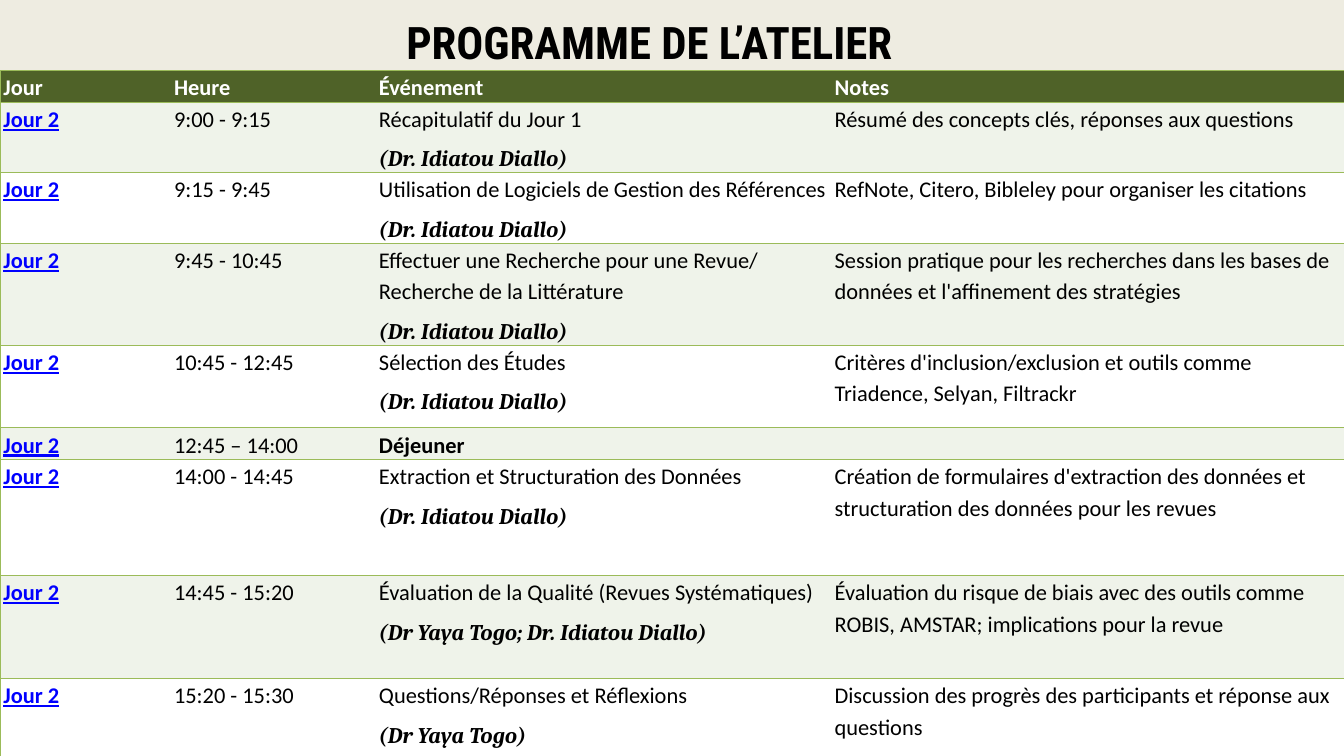
from lxml.etree import SubElement
from pptx import Presentation
from pptx.dml.color import RGBColor
from pptx.enum.text import MSO_ANCHOR, PP_ALIGN
from pptx.oxml.ns import qn
from pptx.util import Pt

PX = 9144
COLORS = {
    "background": "EEECE1",
    "header": "4F6228",
    "band": "EFF3EA",
    "white": "FFFFFF",
    "black": "000000",
    "day": "0000FF",
    "border": "9BBB59",
}
NO_STYLE = "{2D5ABB26-0587-4C30-8999-92F81FD0307C}"
COLUMN_WIDTHS = [254, 305, 678, 763]
ROW_HEIGHTS = [44, 105, 105, 152, 123, 44, 173, 153, 123]
HEADINGS = ["Jour", "Heure", "Événement", "Notes"]
DAY = "Jour 2"
DIALLO = "(Dr. Idiatou Diallo)"
SESSIONS = [
    ("9:00 - 9:15", "Récapitulatif du Jour 1", DIALLO,
     "Résumé des concepts clés, réponses aux questions"),
    ("9:15 - 9:45", "Utilisation de Logiciels de Gestion des Références", DIALLO,
     "RefNote, Citero, Bibleley pour organiser les citations"),
    ("9:45 - 10:45", "Effectuer une Recherche pour une Revue/ Recherche de la Littérature", DIALLO,
     "Session pratique pour les recherches dans les bases de données et l'affinement des stratégies"),
    ("10:45 - 12:45", "Sélection des Études", DIALLO,
     "Critères d'inclusion/exclusion et outils comme Triadence, Selyan, Filtrackr"),
    ("12:45 – 14:00", "Déjeuner", "", ""),
    ("14:00 - 14:45", "Extraction et Structuration des Données", DIALLO,
     "Création de formulaires d'extraction des données et structuration des données pour les revues"),
    ("14:45 - 15:20", "Évaluation de la Qualité (Revues Systématiques)",
     "(Dr Yaya Togo; Dr. Idiatou Diallo)",
     "Évaluation du risque de biais avec des outils comme ROBIS, AMSTAR; implications pour la revue"),
    ("15:20 - 15:30", "Questions/Réponses et Réflexions", "(Dr Yaya Togo)",
     "Discussion des progrès des participants et réponse aux questions"),
]


def px(length):
    return length * PX


def rgb(name):
    return RGBColor.from_string(COLORS[name])


def format_font(paragraph, size, color="black", name="Calibri", bold=False, italic=False, underline=False):
    for run in paragraph.runs:
        font = run.font
        font.size, font.name = Pt(size), name
        font.bold, font.italic, font.underline = bold, italic, underline
        font.color.rgb = rgb(color)


def add_title(slide, text):
    title = slide.shapes.title
    title.left, title.top, title.width, title.height = px(83), 0, px(1767), px(125)
    title.fill.solid()
    title.fill.fore_color.rgb = rgb("background")
    text_frame = title.text_frame
    text_frame.text = text
    text_frame.vertical_anchor = MSO_ANCHOR.MIDDLE
    paragraph = text_frame.paragraphs[0]
    paragraph.alignment = PP_ALIGN.CENTER
    format_font(paragraph, 48, name="Roboto Condensed", bold=True)


def set_borders(cell, sides):
    properties = cell._tc.get_or_add_tcPr()
    for side in sides:
        line = SubElement(properties, qn(f"a:ln{side}"), w=str(Pt(1)))
        fill = SubElement(line, qn("a:solidFill"))
        SubElement(fill, qn("a:srgbClr"), val=COLORS["border"])


def fill_cell(cell, fill, sides, lines):
    set_borders(cell, sides)
    cell.fill.solid()
    cell.fill.fore_color.rgb = rgb(fill)
    cell.margin_left = cell.margin_right = px(5)
    cell.margin_top = cell.margin_bottom = 0
    cell.text_frame.text = "\n".join(text for text, style in lines)
    for paragraph, (text, style) in zip(cell.text_frame.paragraphs, lines):
        paragraph.line_spacing = 1.15
        paragraph.space_after = Pt(10)
        format_font(paragraph, 24, **style)


def session_cells(time, event, speaker, notes):
    event_lines = [(event, {"bold": not speaker})]
    if speaker:
        event_lines.append((speaker, {"name": "Cambria", "bold": True, "italic": True}))
    return [
        [(DAY, {"color": "day", "bold": True, "underline": True})],
        [(time, {})],
        event_lines,
        [(notes, {})] if notes else [],
    ]


def add_schedule(slide):
    rows = [[[(heading, {"color": "white", "bold": True})] for heading in HEADINGS]]
    rows += [session_cells(*session) for session in SESSIONS]
    frame = slide.shapes.add_table(len(rows), len(HEADINGS), 0, px(105),
                                   px(sum(COLUMN_WIDTHS)), px(sum(ROW_HEIGHTS)))
    table = frame.table
    table._tbl.tblPr.find(qn("a:tableStyleId")).text = NO_STYLE
    for column, width in zip(table.columns, COLUMN_WIDTHS):
        column.width = px(width)
    for row, height in zip(table.rows, ROW_HEIGHTS):
        row.height = px(height)
    column_sides = ["LTB", "TB", "TB", "RTB"]
    for row_index, row in enumerate(rows):
        fill = "header" if row_index == 0 else "band" if row_index % 2 else "white"
        for column_index, lines in enumerate(row):
            fill_cell(table.cell(row_index, column_index), fill, column_sides[column_index], lines)


def main():
    presentation = Presentation()
    presentation.slide_width, presentation.slide_height = px(2000), px(1125)
    slide = presentation.slides.add_slide(presentation.slide_layouts[5])
    slide.background.fill.solid()
    slide.background.fill.fore_color.rgb = rgb("background")
    add_title(slide, "PROGRAMME DE L’ATELIER")
    add_schedule(slide)
    presentation.save("out.pptx")


if __name__ == "__main__":
    main()
